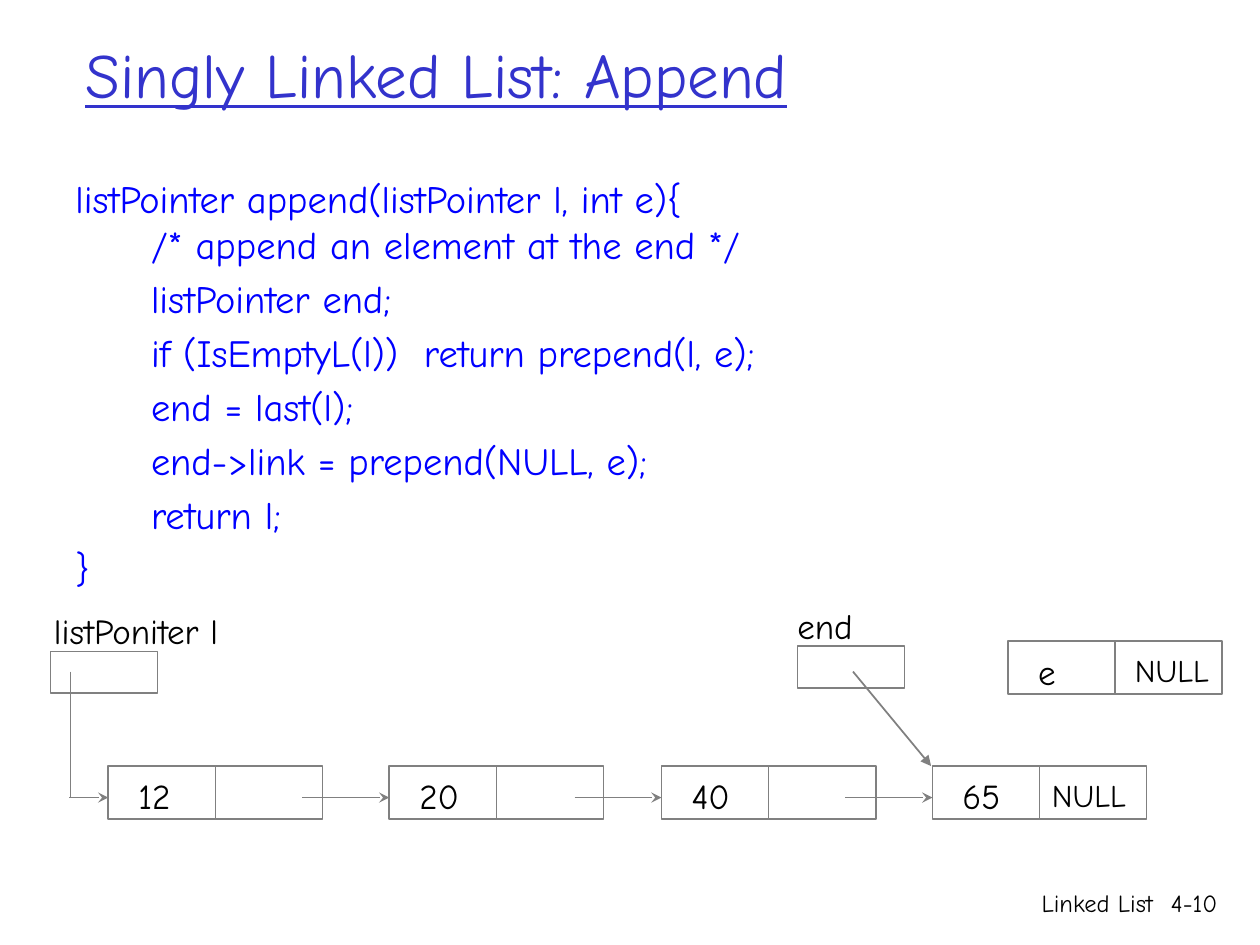
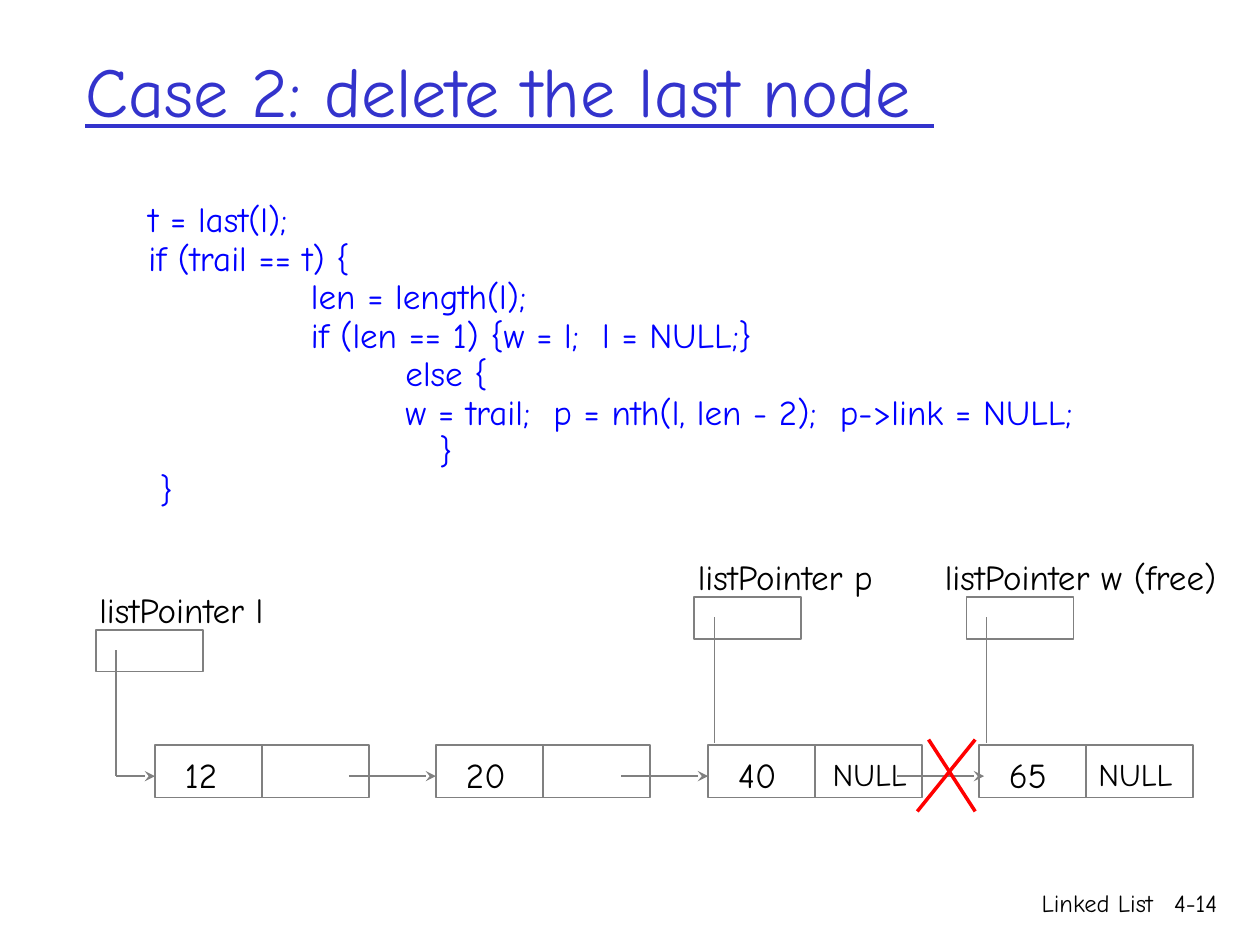
from lxml import etree
from pptx import Presentation
from pptx.dml.color import RGBColor
from pptx.enum.shapes import MSO_CONNECTOR as Connector, MSO_SHAPE as Shape
from pptx.enum.text import MSO_ANCHOR as Anchor, PP_ALIGN as Align
from pptx.oxml.ns import qn
from pptx.util import Inches, Pt


def color(hex_string):
    """Turn a hex string into a colour."""
    return RGBColor.from_string(hex_string)


class Deck:
    """Hold the lecture style and the slide being drawn."""

    FONT = "Comic Neue"
    TITLE, CODE, INK, OUTLINE, STRIKE = "3333CC", "0000FF", "000000", "808080", "FF0000"
    CELL_WIDTH, CELL_HEIGHT, POINTER_HEIGHT = 0.85, 0.42, 0.33
    NODE_OFFSETS = (0, 2.23, 4.39, 6.54)
    LINK_LENGTH, LINK_DROP = 0.69, 0.25

    def __init__(self):
        """Start an empty 4:3 presentation."""
        self.presentation = Presentation()
        self.presentation.slide_width = Inches(10)
        self.presentation.slide_height = Inches(7.5)
        self.slide = None

    def add_slide(self, title, page, size, height):
        """Add a slide with its underlined title and footer."""
        self.slide = self.presentation.slides.add_slide(self.presentation.slide_layouts[6])
        self.text(title, 0.58, 0.25, 8.94, height, size=size, hex_color=self.TITLE,
                  underline=True, anchor=Anchor.MIDDLE)
        self.text("Linked List", 6.08, 7, 3.17, 0.5, size=14, align=Align.RIGHT)
        self.text(page, 9.08, 7, 0.68, 0.5, size=14, align=Align.RIGHT)

    def text(self, lines, left, top, width, height=0.44, *, size=20, hex_color=INK,
             underline=False, align=Align.LEFT, anchor=Anchor.TOP, spacing=None):
        """Add a text box from a string or a list of lines and return its paragraphs."""
        box = self.slide.shapes.add_textbox(
            Inches(left), Inches(top), Inches(width), Inches(height))
        frame = box.text_frame
        frame.word_wrap = True
        frame.vertical_anchor = anchor
        frame.text = lines if isinstance(lines, str) else "\n".join(lines)
        for paragraph in frame.paragraphs:
            paragraph.alignment = align
            paragraph.line_spacing = spacing
            for run in paragraph.runs:
                run.font.name = self.FONT
                run.font.size = Pt(size)
                run.font.underline = underline
                run.font.color.rgb = color(hex_color)
        return frame.paragraphs

    def code(self, lines, left, top, width, height, *, size, spacing=None):
        """Add code given as (indent, gap above in points, line) rows."""
        paragraphs = self.text([line for _, _, line in lines], left, top, width, height,
                               size=size, hex_color=self.CODE, spacing=spacing)
        for paragraph, (indent, gap, _) in zip(paragraphs, lines):
            paragraph.space_before = Pt(gap)
            properties = paragraph._p.get_or_add_pPr()
            properties.set("marL", str(Inches(indent)))
            properties.set("indent", "0")

    def box(self, left, top, height):
        """Add an outlined cell without fill."""
        shape = self.slide.shapes.add_shape(
            Shape.RECTANGLE, Inches(left), Inches(top), Inches(self.CELL_WIDTH), Inches(height))
        shape.shadow.inherit = False
        shape.fill.background()
        shape.line.color.rgb = color(self.OUTLINE)
        shape.line.width = Pt(1)

    def line(self, start, end, *, head=None, hex_color=OUTLINE, width=1):
        """Add a straight line, with an arrowhead at its end if one is named."""
        connector = self.slide.shapes.add_connector(
            Connector.STRAIGHT, *(Inches(value) for value in (*start, *end)))
        connector.line.color.rgb = color(hex_color)
        connector.line.width = Pt(width)
        if head:
            etree.SubElement(connector.line._get_or_add_ln(), qn("a:tailEnd"), type=head)
        etree.SubElement(connector._element.spPr, qn("a:effectLst"))

    def null(self, left, top):
        """Write the null link of a node."""
        self.text("NULL", left, top + 0.03, 0.9, 0.4, size=18)

    def node(self, value, left, top):
        """Draw a list node with its value and link cells."""
        for column in range(2):
            self.box(left + column * self.CELL_WIDTH, top, self.CELL_HEIGHT)
        self.text(value, left + 0.14, top + 0.02, 0.6)

    def pointer(self, label, left, top, *, shift=-0.07, width=1.8, stem=True):
        """Draw a pointer variable with its label and an optional stem."""
        self.box(left, top, self.POINTER_HEIGHT)
        self.text(label, left + shift, top - 0.38, width)
        if stem:
            self.line((left + 0.16, top + 0.16), (left + 0.16, top + 1.16))

    def chain(self, left, top, links):
        """Draw the four nodes, the first links between them and the null end."""
        lefts = [left + offset for offset in self.NODE_OFFSETS]
        for value, node_left in zip(("12", "20", "40", "65"), lefts):
            self.node(value, node_left, top)
        for node_left in lefts[1:links + 1]:
            self.link(node_left, top)
        self.link(left, top, 0.31)
        self.null(lefts[-1] + self.CELL_WIDTH, top)

    def link(self, target, top, length=LINK_LENGTH):
        """Draw an arrow that ends at the left side of a node."""
        height = top + self.LINK_DROP
        self.line((target - length, height), (target, height), head="stealth")


def append_slide(deck):
    """Show how an element is appended."""
    deck.add_slide("Singly Linked List: Append", "4-10", 36, 0.66)
    deck.code([
        (0, 4.4, "listPointer append(listPointer l, int e){"),
        (0.6, 0, "/* append an element at the end */"),
        (0.6, 4.4, "listPointer end;"),
        (0.6, 4.4, "if (IsEmptyL(l))  return prepend(l, e);"),
        (0.6, 4.4, "end = last(l);"),
        (0.6, 4.4, "end->link = prepend(NULL, e);"),
        (0.6, 4.4, "return l;"),
        (0, 4.4, "}"),
    ], 0.5, 1.34, 9.12, 3.25, size=22)
    deck.pointer("listPoniter l", 0.4, 5.17)
    deck.chain(0.86, 6.08, links=3)
    deck.pointer("end", 6.33, 5.13, shift=-0.1, width=0.8, stem=False)
    deck.line((6.77, 5.33), (7.39, 6.08), head="triangle")
    deck.node("e", 8, 5.09)
    deck.null(8.91, 5.09)


def delete_slide(deck):
    """Show how the last node is deleted."""
    deck.add_slide("Case 2: delete the last node ", "4-14", 40, 0.92)
    rows = [
        (0, "t = last(l);"),
        (0, "if (trail == t) {"),
        (1.29, "len = length(l);"),
        (1.29, "if (len == 1) {w = l;  l = NULL;}"),
        (2.04, "else {"),
        (2.04, "w = trail;  p = nth(l, len - 2);  p->link = NULL;"),
        (2.31, "}"),
        (0.09, "}"),
    ]
    deck.code([(indent, 4, line) for indent, line in rows],
              1.08, 1.6, 8, 2.6, size=20, spacing=0.75)
    deck.pointer("listPointer l", 0.76, 5)
    deck.chain(1.23, 5.91, links=2)
    deck.pointer("listPointer p", 5.51, 4.74)
    deck.pointer("listPointer w (free)", 7.67, 4.74, shift=-0.27, width=2.5)
    deck.null(6.51, 5.91)
    deck.link(7.81, 5.91)
    for start, end in ((7.37, 7.74), (7.74, 7.28)):
        deck.line((start, 5.87), (end, 6.44), hex_color=deck.STRIKE, width=2)


def main():
    """Build both slides and save them."""
    deck = Deck()
    append_slide(deck)
    delete_slide(deck)
    deck.presentation.save("out.pptx")


if __name__ == "__main__":
    main()
